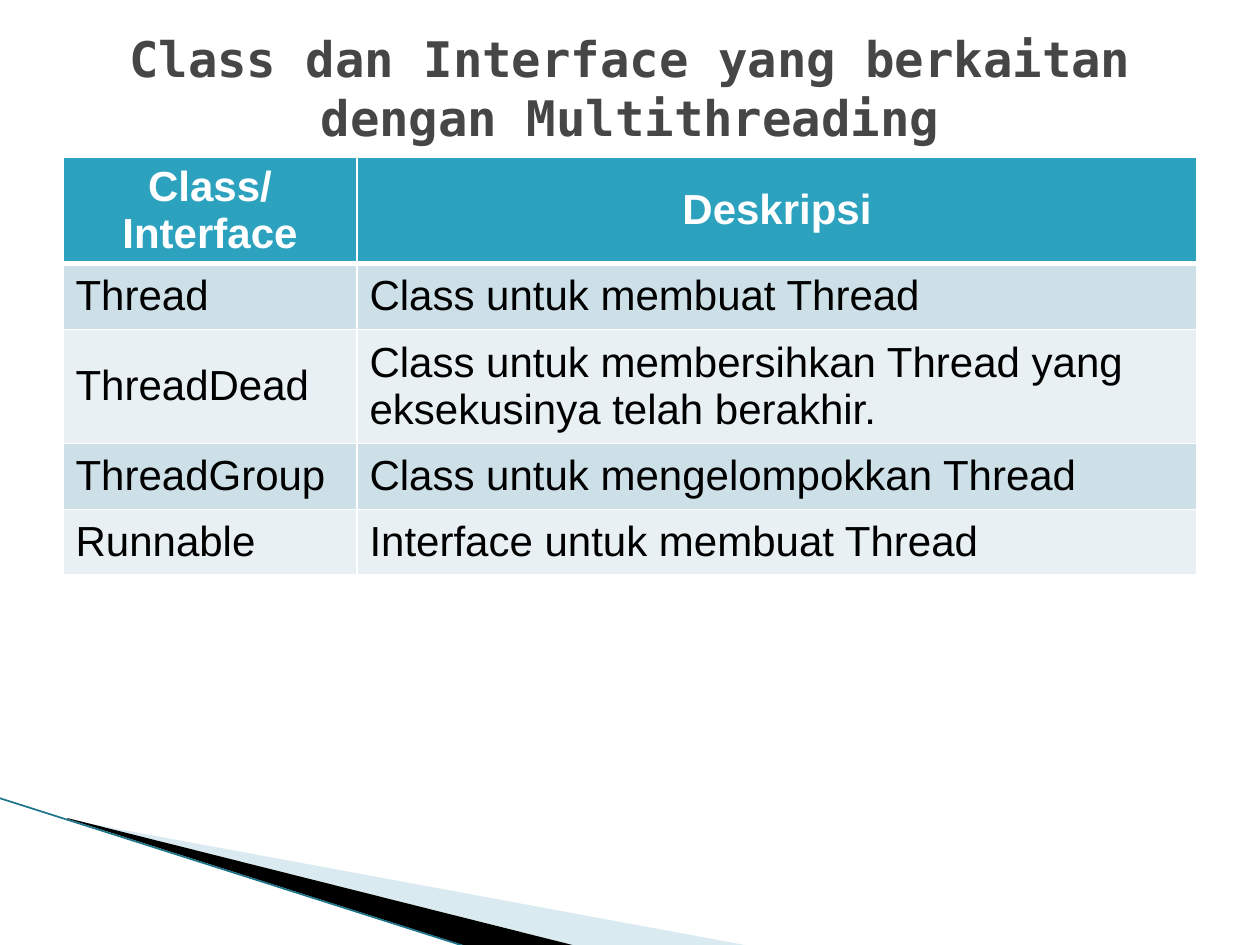
"""Build a slide with a table of the classes and interfaces used for multithreading."""
from lxml import etree
from pptx import Presentation
from pptx import util as u
from pptx.dml.color import RGBColor
from pptx.enum import shapes, text
from pptx.oxml import ns

SCALE = 914400 / 126
WHITE = RGBColor(0xFF, 0xFF, 0xFF)
BLACK = RGBColor(0x00, 0x00, 0x00)
TITLE_GREY = RGBColor(0x46, 0x46, 0x46)
HEADER_TEAL = RGBColor(0x2D, 0xA2, 0xBF)
BAND_COLORS = (RGBColor(0xE8, 0xF0, 0xF4), RGBColor(0xCD, 0xE0, 0xE8))
WEDGE_BLUE = RGBColor(0xA0, 0xCB, 0xDC)
EDGE_TEAL = RGBColor(0x1B, 0x74, 0x88)

ROWS = [
    ("Class/Interface", "Deskripsi"),
    ("Thread", "Class untuk membuat Thread"),
    ("ThreadDead", "Class untuk membersihkan Thread yang eksekusinya telah berakhir."),
    ("ThreadGroup", "Class untuk mengelompokkan Thread"),
    ("Runnable", "Interface untuk membuat Thread"),
]
COLUMN_WIDTHS = (294, 840)
ROW_HEIGHTS = (106, 66, 114, 66, 66)
WEDGES = [
    (WEDGE_BLUE, [(69, 820), (750, 946), (575, 946), (69, 819)]),
    (BLACK, [(67, 818), (576, 946), (469, 947), (68, 819)]),
]


def px(length):
    return u.Emu(round(length * SCALE))


def format_text(para, font_name, size, color, bold, align):
    para.alignment = align
    for span in para.runs:
        span.font.name = font_name
        span.font.size = u.Pt(size)
        span.font.bold = bold
        span.font.color.rgb = color


deck = Presentation()
deck.slide_width, deck.slide_height = px(1260), px(945)
page = deck.slides.add_slide(deck.slide_layouts[5])

for color, points in WEDGES:
    builder = page.shapes.build_freeform(*points[0], scale=SCALE)
    builder.add_line_segments(points[1:], close=True)
    wedge = builder.convert_to_shape()
    wedge.shadow.inherit = False
    wedge.fill.solid()
    wedge.fill.fore_color.rgb = color
    wedge.line.fill.background()
    if color == WEDGE_BLUE:
        tint = wedge.fill._xPr.find(".//" + ns.qn("a:srgbClr"))
        etree.SubElement(tint, ns.qn("a:alpha"), val="40000")

edge = page.shapes.add_connector(
    shapes.MSO_CONNECTOR.STRAIGHT, px(-1), px(798), px(467), px(947))
edge.line.color.rgb = EDGE_TEAL
edge.line.width = u.Pt(0.95)
etree.SubElement(edge._element.spPr, ns.qn("a:effectLst"))

table = page.shapes.add_table(
    len(ROWS), len(COLUMN_WIDTHS), px(63), px(157),
    px(sum(COLUMN_WIDTHS)), px(sum(ROW_HEIGHTS))).table
for column, width in zip(table.columns, COLUMN_WIDTHS):
    column.width = px(width)
for row, height in zip(table.rows, ROW_HEIGHTS):
    row.height = px(height)

for row_index, labels in enumerate(ROWS):
    is_header = row_index == 0
    for column_index, label in enumerate(labels):
        cell = table.cell(row_index, column_index)
        cell.text_frame.text = label
        cell.vertical_anchor = text.MSO_ANCHOR.MIDDLE
        format_text(
            cell.text_frame.paragraphs[0], "Arial", 24,
            WHITE if is_header else BLACK, is_header,
            text.PP_ALIGN.CENTER if is_header else text.PP_ALIGN.LEFT)
        properties = cell._tc.get_or_add_tcPr()
        for side in "LRTB":
            thick = (row_index, side) in ((0, "B"), (1, "T"))
            border = etree.SubElement(
                properties, ns.qn("a:ln" + side), w=str(u.Pt(3 if thick else 1)))
            paint = etree.SubElement(border, ns.qn("a:solidFill"))
            etree.SubElement(paint, ns.qn("a:srgbClr"), val=str(WHITE))
        cell.fill.solid()
        cell.fill.fore_color.rgb = HEADER_TEAL if is_header else BAND_COLORS[row_index % 2]

title = page.shapes.title
title.left, title.top, title.width, title.height = px(63), px(38), px(1134), px(98)
title.text_frame.text = "Class dan Interface yang berkaitan dengan Multithreading"
title.text_frame.word_wrap = True
title.text_frame.auto_size = text.MSO_AUTO_SIZE.NONE
title.text_frame.vertical_anchor = text.MSO_ANCHOR.MIDDLE
format_text(title.text_frame.paragraphs[0], "DejaVu Sans Mono", 28,
            TITLE_GREY, True, text.PP_ALIGN.CENTER)

deck.save("out.pptx")
